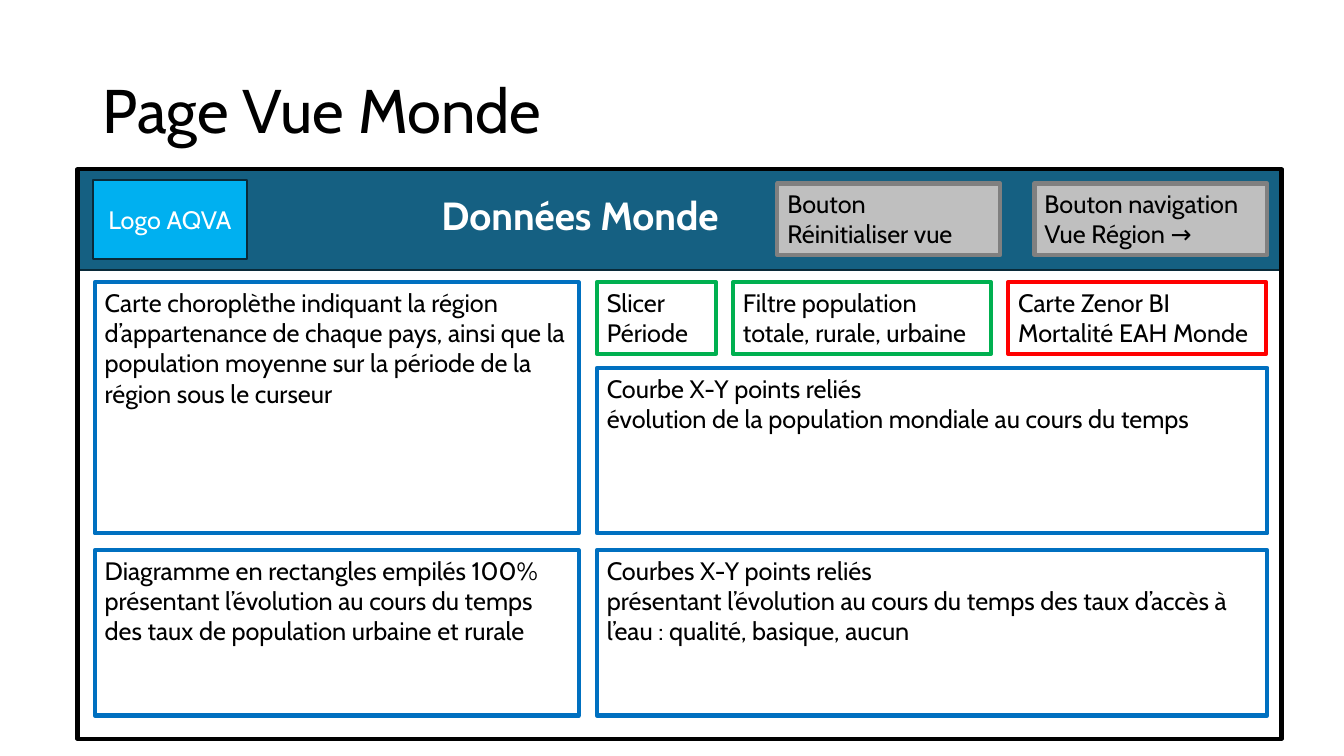
from dataclasses import dataclass

from pptx import Presentation
from pptx.dml.color import RGBColor
from pptx.enum.shapes import MSO_SHAPE
from pptx.enum.text import MSO_ANCHOR, MSO_AUTO_SIZE, PP_ALIGN
from pptx.util import Inches, Pt

RECTANGLE = MSO_SHAPE.RECTANGLE
TOP, MIDDLE = MSO_ANCHOR.TOP, MSO_ANCHOR.MIDDLE
LEFT, CENTER = PP_ALIGN.LEFT, PP_ALIGN.CENTER
NO_AUTOFIT = MSO_AUTO_SIZE.NONE
TITLE_ONLY = 5


@dataclass(frozen=True)
class Theme:
    font: str = "Cabin"
    title_size: int = 44
    heading_size: int = 28
    body_size: int = 18
    thick: float = 3
    thin: float = 1.5
    black: str = "000000"
    white: str = "FFFFFF"
    banner: str = "156082"
    banner_edge: str = "092A39"
    logo: str = "00B0F0"
    button: str = "BFBFBF"
    button_edge: str = "808080"
    chart_edge: str = "0070C0"
    filter_edge: str = "00B050"
    card_edge: str = "FF0000"


@dataclass(frozen=True)
class Grid:
    width: float = 13.33
    height: float = 7.5
    frame_left: float = 0.77
    frame_top: float = 1.68
    frame_width: float = 11.94
    frame_height: float = 5.65
    banner_height: float = 1
    gutter: float = 0.17
    left_column: float = 0.94
    left_width: float = 4.8
    right_column: float = 5.92
    right_width: float = 6.65
    button_row: float = 1.82
    filter_row: float = 2.8
    curve_row: float = 3.65
    bottom_row: float = 5.46
    control_height: float = 0.71
    panel_height: float = 1.64

    @property
    def right_edge(self):
        return self.right_column + self.right_width


THEME = Theme()
GRID = Grid()


def write(frame, lines, size, color, bold=False, align=LEFT, anchor=TOP):
    frame.word_wrap = True
    frame.auto_size = NO_AUTOFIT
    frame.vertical_anchor = anchor
    for index, line in enumerate(lines):
        paragraph = frame.add_paragraph() if index else frame.paragraphs[0]
        paragraph.alignment = align
        run = paragraph.add_run()
        run.text = line
        run.font.name = THEME.font
        run.font.size = Pt(size)
        run.font.bold = bold
        run.font.color.rgb = RGBColor.from_string(color)


def add_box(slide, area, edge, weight=THEME.thick, fill=None, lines=(),
            color=THEME.black, align=LEFT, anchor=TOP):
    box = slide.shapes.add_shape(RECTANGLE, *map(Inches, area))
    box.shadow.inherit = False
    if fill:
        box.fill.solid()
        box.fill.fore_color.rgb = RGBColor.from_string(fill)
    else:
        box.fill.background()
    box.line.color.rgb = RGBColor.from_string(edge)
    box.line.width = Pt(weight)
    write(box.text_frame, lines, THEME.body_size, color, align=align, anchor=anchor)


def add_title(slide, text):
    title = slide.shapes.title
    title.left, title.top, title.width, title.height = map(Inches, (0.92, 0.4, 11.5, 1.45))
    write(title.text_frame, [text], THEME.title_size, THEME.black, anchor=MIDDLE)
    title.text_frame.paragraphs[0].line_spacing = 0.9


def add_banner(slide):
    add_box(slide, (GRID.frame_left, GRID.frame_top, GRID.frame_width, GRID.banner_height),
            THEME.banner_edge, THEME.thin, THEME.banner)
    add_box(slide, (0.92, 1.79, 1.53, 0.78), THEME.banner_edge, THEME.thin, THEME.logo,
            ["Logo AQVA"], THEME.white, CENTER, MIDDLE)
    heading = slide.shapes.add_textbox(*map(Inches, (4.28, 1.85, 4.28, 0.57)))
    write(heading.text_frame, ["Données Monde"], THEME.heading_size, THEME.white, bold=True)


def add_buttons(slide):
    buttons = [
        (7.71, 2.21, ["Bouton", "Réinitialiser vue"]),
        (GRID.right_edge - 2.31, 2.31, ["Bouton navigation", "Vue Région →"]),
    ]
    for left, width, lines in buttons:
        add_box(slide, (left, GRID.button_row, width, GRID.control_height),
                THEME.button_edge, fill=THEME.button, lines=lines)


def add_controls(slide):
    controls = [
        (1.18, THEME.filter_edge, ["Slicer", "Période"]),
        (2.56, THEME.filter_edge, ["Filtre population totale, rurale, urbaine"]),
        (2.56, THEME.card_edge, ["Carte Zenor BI", "Mortalité EAH Monde"]),
    ]
    left = GRID.right_column
    for width, edge, lines in controls:
        add_box(slide, (left, GRID.filter_row, width, GRID.control_height), edge, lines=lines)
        left += width + GRID.gutter


def add_charts(slide):
    left = (GRID.left_column, GRID.left_width)
    right = (GRID.right_column, GRID.right_width)
    map_height = GRID.curve_row + GRID.panel_height - GRID.filter_row
    panels = [
        (left, GRID.filter_row, map_height,
         ["Carte choroplèthe indiquant la région d’appartenance de chaque pays, ainsi que "
          "la population moyenne sur la période de la région sous le curseur"]),
        (left, GRID.bottom_row, GRID.panel_height,
         ["Diagramme en rectangles empilés 100% présentant l’évolution au cours du temps "
          "des taux de population urbaine et rurale"]),
        (right, GRID.curve_row, GRID.panel_height,
         ["Courbe X-Y points reliés",
          "évolution de la population mondiale au cours du temps"]),
        (right, GRID.bottom_row, GRID.panel_height,
         ["Courbes X-Y points reliés",
          "présentant l’évolution au cours du temps des taux d’accès à l’eau : "
          "qualité, basique, aucun"]),
    ]
    for (column, width), row, height, lines in panels:
        add_box(slide, (column, row, width, height), THEME.chart_edge, lines=lines)


def main():
    deck = Presentation()
    deck.slide_width, deck.slide_height = Inches(GRID.width), Inches(GRID.height)
    slide = deck.slides.add_slide(deck.slide_layouts[TITLE_ONLY])
    add_title(slide, "Page Vue Monde")
    add_banner(slide)
    add_box(slide, (GRID.frame_left, GRID.frame_top, GRID.frame_width, GRID.frame_height),
            THEME.black)
    add_buttons(slide)
    add_controls(slide)
    add_charts(slide)
    deck.save("out.pptx")


if __name__ == "__main__":
    main()
